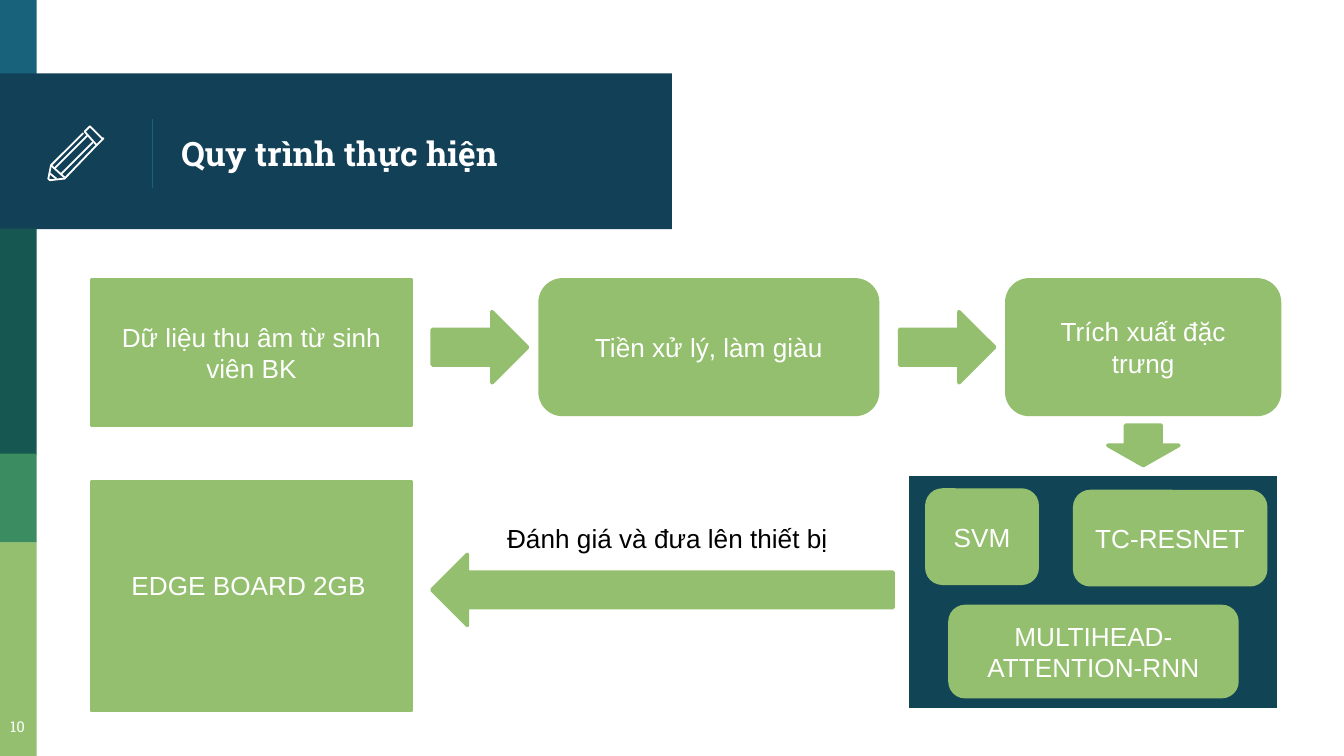
from lxml import etree
from pptx import Presentation
from pptx.dml.color import RGBColor
from pptx.enum.shapes import MSO_CONNECTOR, MSO_SHAPE
from pptx.enum.text import MSO_ANCHOR, PP_ALIGN
from pptx.oxml.ns import qn
from pptx.util import Pt

RECT = MSO_SHAPE.RECTANGLE
ROUND = MSO_SHAPE.ROUNDED_RECTANGLE
RIGHT = MSO_SHAPE.RIGHT_ARROW
DOWN = MSO_SHAPE.DOWN_ARROW
LEFT = MSO_SHAPE.LEFT_ARROW
STRAIGHT = MSO_CONNECTOR.STRAIGHT
TOP = MSO_ANCHOR.TOP
MIDDLE = MSO_ANCHOR.MIDDLE
ALIGN_LEFT = PP_ALIGN.LEFT
CENTER = PP_ALIGN.CENTER

WHITE = RGBColor(0xFF, 0xFF, 0xFF)
BLACK = RGBColor(0x00, 0x00, 0x00)
TEAL = RGBColor(0x18, 0x63, 0x7B)
NAVY = RGBColor(0x12, 0x40, 0x57)
PINE = RGBColor(0x16, 0x57, 0x51)
EMERALD = RGBColor(0x3B, 0x8D, 0x61)
GREEN = RGBColor(0x94, 0xBF, 0x6E)
PANEL = RGBColor(0x11, 0x44, 0x54)

deck = Presentation()
deck.slide_width = Pt(720)
deck.slide_height = Pt(405)
page = deck.slides.add_slide(deck.slide_layouts[6])


def add_block(kind, left, top, width, height, fill, line=None):
    block = page.shapes.add_shape(kind, Pt(left), Pt(top), Pt(width), Pt(height))
    block.shadow.inherit = False
    block.fill.solid()
    block.fill.fore_color.rgb = fill
    if line is None:
        block.line.fill.background()
    else:
        block.line.color.rgb = line
        block.line.width = Pt(2)
    return block


def write(box, text, size, font, color, align=CENTER, anchor=MIDDLE, bold=False, wrap=True):
    frame = box.text_frame
    frame.text = text
    frame.word_wrap = wrap
    frame.vertical_anchor = anchor
    para = frame.paragraphs[0]
    para.alignment = align
    span = para.runs[0]
    span.font.size = Pt(size)
    span.font.name = font
    span.font.bold = bold
    span.font.color.rgb = color


STRIPE = 19.6
for left, top, width, height, color in [
    (0, 0, STRIPE, 42, TEAL),
    (0, 39.4, 360, 83.4, NAVY),
    (0, 122.5, STRIPE, 121, PINE),
    (0, 243, STRIPE, 47.8, EMERALD),
    (0, 290.6, STRIPE, 114.4, GREEN),
]:
    add_block(RECT, left, top, width, height, color)

divider = page.shapes.add_connector(STRAIGHT, Pt(81.6), Pt(64), Pt(81.6), Pt(100.8))
divider.line.color.rgb = TEAL
divider.line.width = Pt(0.75)
etree.SubElement(divider.element.find(qn("p:spPr")), qn("a:effectLst"))

for text, left, top, width, height, size, align, anchor, bold in [
    ("Quy trình thực hiện", 90, 41.8, 252.7, 80.6, 18, ALIGN_LEFT, MIDDLE, True),
    ("10", -4.3, 379.5, 27.4, 25.2, 8, CENTER, TOP, False),
]:
    box = page.shapes.add_textbox(Pt(left), Pt(top), Pt(width), Pt(height))
    frame = box.text_frame
    frame.margin_left = frame.margin_right = Pt(7.2)
    frame.margin_top = frame.margin_bottom = Pt(7.2)
    write(box, text, size, "Roboto Slab", WHITE, align, anchor, bold)

PENCIL_UNIT = Pt(0.72)
pencil_strokes = [
    ([(76, 103), (68, 95), (67, 94), (66, 95), (63, 98), (72, 108), (76, 104), (77, 103)], True),
    ([(69, 106), (45, 130)], False),
    ([(62, 99), (38, 123), (36, 133), (37, 134), (38, 134), (47, 133), (48, 133), (72, 108)], False),
    ([(41, 125), (65, 101)], False),
    ([(42, 133), (37, 129)], False),
    ([(38, 123), (48, 132)], False),
]
for points, closed in pencil_strokes:
    builder = page.shapes.build_freeform(*points[0], scale=PENCIL_UNIT)
    builder.add_line_segments(points[1:], close=closed)
    stroke = builder.convert_to_shape()
    stroke.shadow.inherit = False
    stroke.fill.background()
    stroke.line.color.rgb = WHITE
    stroke.line.width = Pt(0.96)

add_block(RECT, 486, 253.8, 199.2, 126.7, PANEL, WHITE)
add_block(RECT, 49, 258.2, 171.4, 122.4, GREEN, GREEN)

for text, kind, left, top, width, height in [
    ("Dữ liệu thu âm từ sinh viên BK", RECT, 49, 150, 171.4, 77.6),
    ("Tiền xử lý, làm giàu", ROUND, 289.4, 150, 180.7, 72),
    ("Trích xuất đặc trưng", ROUND, 539.4, 150, 146, 72),
    ("SVM", ROUND, 496.6, 262.6, 59, 49.8),
    ("TC-RESNET", ROUND, 575.8, 263.4, 102.2, 49.8),
    ("MULTIHEAD-ATTENTION-RNN", ROUND, 509, 325, 153.6, 48.2),
    ("EDGE BOARD 2GB", RECT, 58.3, 288, 149.8, 51.1),
]:
    step = add_block(kind, left, top, width, height, GREEN, GREEN)
    write(step, text, 14, "Arial", WHITE)

for kind, left, top, width, height in [
    (RIGHT, 231.6, 167, 51, 38),
    (RIGHT, 482, 167, 50.8, 38),
    (DOWN, 593.5, 227.8, 38, 21.6),
    (LEFT, 231.4, 297, 247, 38),
]:
    add_block(kind, left, top, width, height, GREEN, GREEN)

caption = page.shapes.add_textbox(Pt(264.6), Pt(276.5), Pt(187.2), Pt(24.5))
write(caption, "Đánh giá và đưa lên thiết bị", 14, "Arial", BLACK, ALIGN_LEFT, TOP, wrap=False)

deck.save("out.pptx")
